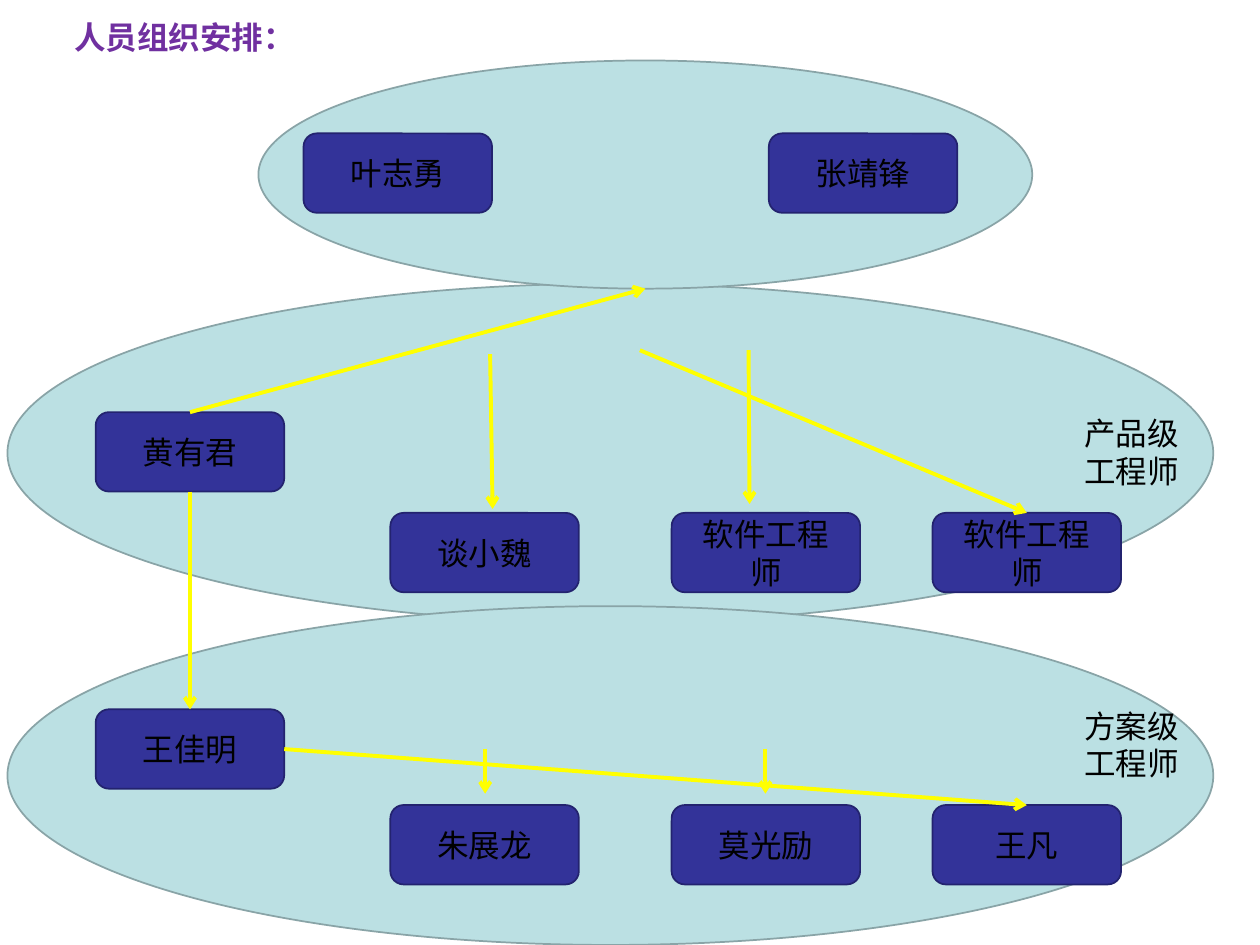
"""Builds the staffing organisation slide with three tiers of people."""
from lxml import etree
from pptx import Presentation
from pptx import util as u
from pptx.dml.color import RGBColor
from pptx.enum import shapes, text
from pptx.oxml.ns import qn

COLORS = {"tier": "BBE0E3", "tier_edge": "89A4A7", "person": "333399",
          "person_edge": "23236F", "arrow": "FFFF00", "title": "7030A0",
          "body": "000000"}
PERSON_SIZE = (3.8, 1.6)
LABEL_SIZE = (2.59, 1.78)
LEAD_X = 1.78
MEMBER_XS = (7.72, 13.39, 18.65)
LABEL_X = 21.46


def rgb(key):
    """Return the palette colour called key."""
    return RGBColor.from_string(COLORS[key])


def cm(*lengths):
    """Convert numbers to centimetre lengths."""
    return [u.Cm(length) for length in lengths]


def write(frame, wording, color="body", size=18, bold=False, wrap=True,
          align=text.PP_ALIGN.LEFT, anchor=text.MSO_ANCHOR.TOP,
          fit=text.MSO_AUTO_SIZE.NONE):
    """Put formatted wording into a text frame."""
    frame.text = wording
    frame.auto_size = fit
    frame.word_wrap = wrap
    frame.vertical_anchor = anchor
    paragraph = frame.paragraphs[0]
    paragraph.alignment = align
    font = paragraph.runs[0].font
    font.name, font.size, font.bold = "Arial", u.Pt(size), bold
    font.color.rgb = rgb(color)


def add_outline(slide, preset, box, color):
    """Add a filled preset shape with a thin matching edge."""
    outline = slide.shapes.add_shape(preset, *cm(*box))
    outline.shadow.inherit = False
    outline.fill.solid()
    outline.fill.fore_color.rgb = rgb(color)
    outline.line.color.rgb = rgb(color + "_edge")
    outline.line.width = u.Pt(1)
    return outline


def add_person(slide, left, top, name):
    """Add one person's rounded box."""
    person = add_outline(slide, shapes.MSO_SHAPE.ROUNDED_RECTANGLE,
                         (left, top, *PERSON_SIZE), "person")
    write(person.text_frame, name, align=text.PP_ALIGN.CENTER,
          anchor=text.MSO_ANCHOR.MIDDLE)
    return person


def add_arrow(slide, start=(0, 0), end=(0, 0), source=None, target=None):
    """Add an arrow between points, or joined to (shape, site) pairs."""
    arrow = slide.shapes.add_connector(shapes.MSO_CONNECTOR.STRAIGHT,
                                       *cm(*start, *end))
    if source:
        arrow.begin_connect(*source)
    if target:
        arrow.end_connect(*target)
    arrow.line.color.rgb = rgb("arrow")
    arrow.line.width = u.Pt(2.25)
    etree.SubElement(arrow.line._get_or_add_ln(), qn("a:tailEnd"), type="arrow")
    etree.SubElement(arrow._element.spPr, qn("a:effectLst"))


def add_title(slide, box):
    """Place the slide title."""
    title = slide.shapes.title
    title.left, title.top, title.width, title.height = cm(*box)
    write(title.text_frame, "人员组织安排：", color="title", bold=True,
          wrap=False, fit=text.MSO_AUTO_SIZE.SHAPE_TO_FIT_TEXT)


def add_tier(slide, box, people, label=None, label_y=0):
    """Add a tier's ellipse, its people at (x, y, name) and its label."""
    left, top = box[:2]
    add_outline(slide, shapes.MSO_SHAPE.OVAL, box, "tier")
    boxes = [add_person(slide, left + x, top + y, name) for x, y, name in people]
    if label:
        caption = slide.shapes.add_textbox(
            *cm(left + LABEL_X, top + label_y, *LABEL_SIZE))
        write(caption.text_frame, label,
              fit=text.MSO_AUTO_SIZE.SHAPE_TO_FIT_TEXT)
    return boxes


def add_engineers(slide, box, lead, lead_y, members, member_y, label, label_y):
    """Add a tier with one lead and a row of members."""
    people = [(LEAD_X, lead_y, lead)]
    people += [(x, member_y, name) for x, name in zip(MEMBER_XS, members)]
    return add_tier(slide, box, people, label, label_y)


def add_reporting(slide, managers, product, solution, product_team, solution_team):
    """Draw the arrows between and within the three tier boxes."""
    product_lead, *_, product_last = product_team
    solution_lead, *_, solution_last = solution_team
    left, top, width, height = managers
    add_arrow(slide, end=(left + width / 2, top + height),
              source=(product_lead, 0))
    left, top = product[:2]
    add_arrow(slide, start=(left + 12.75, top + 1.34), target=(product_last, 0))
    add_arrow(slide, (left + 14.94, top + 1.34), (left + 14.96, top + 4.44))
    add_arrow(slide, (left + 9.73, top + 1.42), (left + 9.78, top + 4.54))
    add_arrow(slide, source=(product_lead, 2), target=(solution_lead, 0))
    add_arrow(slide, source=(solution_lead, 3), target=(solution_last, 0))
    left, top = solution[:2]
    for x in (15.28, 9.63):
        add_arrow(slide, (left + x, top + 2.87), (left + x, top + 3.78))


def main():
    """Build and save the slide."""
    deck = Presentation()
    deck.slide_width, deck.slide_height = cm(25.4, 19.05)
    slide = deck.slides.add_slide(deck.slide_layouts[5])
    managers = (5.21, 1.22, 15.6, 4.6)
    product = (0.15, 5.72, 24.31, 6.83)
    solution = (0.15, 12.22, 24.31, 6.83)

    add_title(slide, (1.24, 0.23, 4.95, 1.02))
    product_team = add_engineers(
        slide, product, "黄有君", 2.59, ("谈小魏", "软件工程师", "软件工程师"), 4.62,
        "产品级工程师", 2.51)
    solution_team = add_engineers(
        slide, solution, "王佳明", 2.08, ("朱展龙", "莫光励", "王凡"), 4.01,
        "方案级工程师", 1.9)
    add_tier(slide, managers, [(0.91, 1.47, "叶志勇"), (10.29, 1.47, "张靖锋")])
    add_reporting(slide, managers, product, solution, product_team, solution_team)
    deck.save("out.pptx")


if __name__ == "__main__":
    main()
